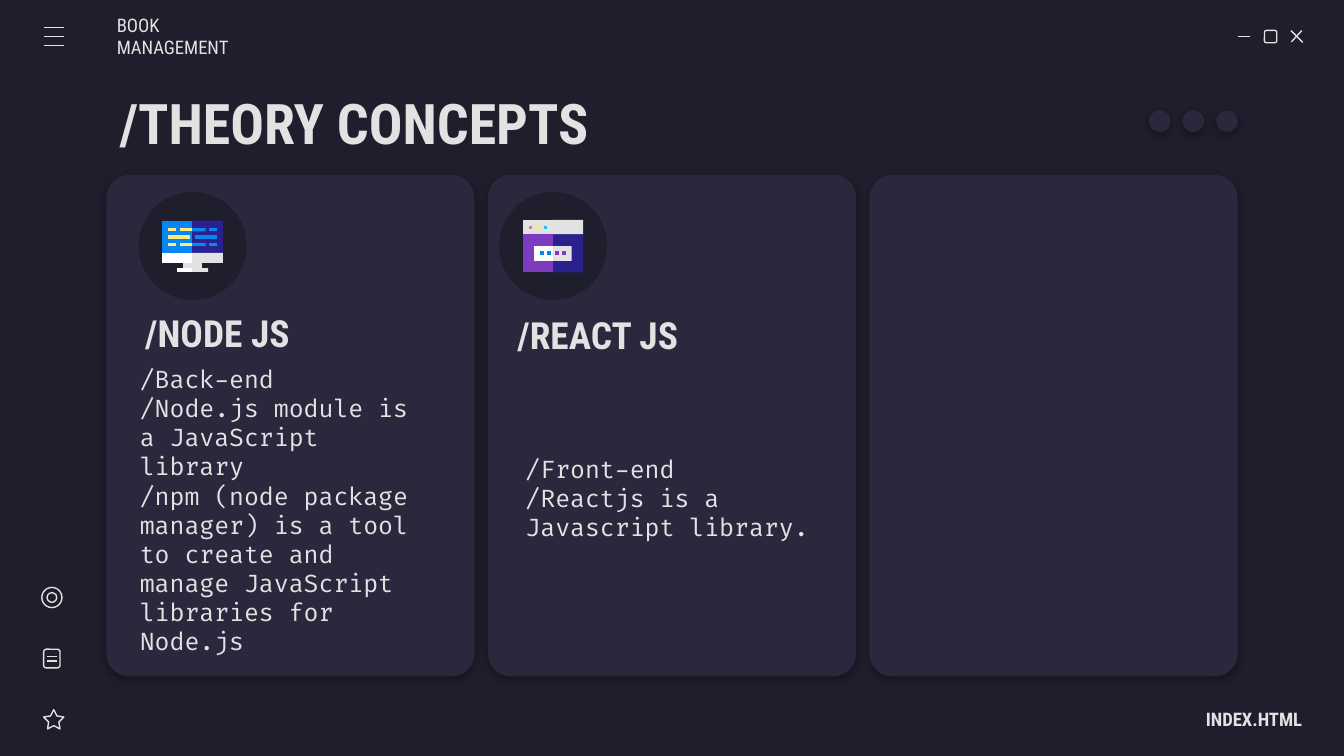
from dataclasses import dataclass

from lxml import etree
from pptx import Presentation
from pptx import util as u
from pptx.dml.color import RGBColor
from pptx.enum import shapes, text
from pptx.oxml import parse_xml
from pptx.oxml.ns import nsdecls, qn

SHAPE = shapes.MSO_SHAPE
ALIGN = text.PP_ALIGN


@dataclass(frozen=True)
class Theme:
    """Colours, fonts and type sizes of the slide."""
    night: str = "1E1E2C"
    panel: str = "29283D"
    light: str = "E2E2E2"
    white: str = "FFFFFF"
    indigo: str = "2B218D"
    purple: str = "7E3BBE"
    blue: str = "0887F2"
    cyan: str = "24BFEB"
    yellow: str = "FFEA7D"
    pink: str = "E07A88"
    head_font: str = "Roboto Condensed"
    code_font: str = "Fira Code"
    title: float = 30
    heading: float = 20
    body: float = 13
    label: float = 10
    stroke: float = 0.75


T = Theme()


def rgb(color):
    """Turn a hex string into a colour."""
    return RGBColor.from_string(color)


def apply(obj, **values):
    """Set each named attribute on an object."""
    for name, value in values.items():
        setattr(obj, name, value)


def add_shadow(sp):
    """Give a shape a soft shadow below it."""
    sp._element.spPr.append(parse_xml(
        f'<a:effectLst {nsdecls("a")}><a:outerShdw blurRad="57150" dist="19050" '
        'dir="5400000" algn="bl" rotWithShape="0"><a:srgbClr val="000000">'
        '<a:alpha val="30000"/></a:srgbClr></a:outerShdw></a:effectLst>'))


def paint(sp, fill):
    """Fill a shape without line or shadow."""
    sp.shadow.inherit = False
    sp.fill.solid()
    sp.fill.fore_color.rgb = rgb(fill)
    sp.line.fill.background()


def add_solid(parent, kind, box, fill, adj=(), shadow=False):
    """Add a filled preset shape."""
    sp = parent.add_shape(kind, *map(u.Pt, box))
    for i, value in enumerate(adj):
        sp.adjustments[i] = value
    paint(sp, fill)
    if shadow:
        sp._element.spPr.remove(sp._element.spPr.find(qn("a:effectLst")))
        add_shadow(sp)
    return sp


def add_outline(parent, kind, box, adj=()):
    """Add an unfilled preset shape with a thin line."""
    sp = add_solid(parent, kind, box, T.night, adj)
    sp.fill.background()
    sp.line.color.rgb = rgb(T.light)
    sp.line.width = u.Pt(T.stroke)


def add_line(parent, *ends):
    """Add a thin straight line."""
    sp = parent.add_connector(shapes.MSO_CONNECTOR.STRAIGHT, *map(u.Pt, ends))
    sp.line.color.rgb = rgb(T.light)
    sp.line.width = u.Pt(T.stroke)
    etree.SubElement(sp._element.spPr, qn("a:effectLst"))


def add_tile(parent, left, top, right, bottom, fill, seam=0):
    """Add an icon tile whose left edge may point into its neighbour."""
    points = [(left + seam, top), (right, top), (right, bottom), (left + seam, bottom)]
    if seam:
        points.append((left, (top + bottom) / 2))
    points = [(u.Pt(x), u.Pt(y)) for x, y in points]
    builder = parent.build_freeform(*points[0])
    builder.add_line_segments(points[1:], close=True)
    paint(builder.convert_to_shape(), fill)


def set_text(slide, sp, box, lines, size, font=T.head_font, bold=False,
             align=ALIGN.LEFT, insets=(7.2, 7.2, 7.2, 7.2)):
    """Place a text shape on top and write its paragraphs."""
    slide.shapes._spTree.append(sp._element)
    apply(sp, **dict(zip(("left", "top", "width", "height"), map(u.Pt, box))))
    tf = sp.text_frame
    apply(tf, word_wrap=True, auto_size=text.MSO_AUTO_SIZE.NONE,
          vertical_anchor=text.MSO_ANCHOR.MIDDLE)
    sides = ("margin_left", "margin_top", "margin_right", "margin_bottom")
    apply(tf, **dict(zip(sides, map(u.Pt, insets))))
    for i, line in enumerate(lines):
        p = tf.add_paragraph() if i else tf.paragraphs[0]
        pPr = p._p.get_or_add_pPr()
        pPr.set("marL", "0")
        pPr.set("indent", "0")
        etree.SubElement(pPr, qn("a:buNone"))
        apply(p, alignment=align, space_before=u.Pt(0), space_after=u.Pt(0))
        r = p.add_run()
        r.text = line
        apply(r.font, name=font, size=u.Pt(size), bold=bold)
        r.font.color.rgb = rgb(T.light)


def add_group(slide):
    """Start a group and return its shapes."""
    return slide.shapes.add_group_shape().shapes


def add_cards(slide):
    """Add the three panels."""
    for i in range(3):
        add_solid(slide.shapes, SHAPE.ROUNDED_RECTANGLE,
                  (57 + 204.4 * i, 93.75, 197.2, 268.6), T.panel, [0.062], True)


def add_window_controls(slide):
    """Add the minimise, maximise and close marks."""
    g = add_group(slide)
    add_line(g, 663.2, 19.6, 669.8, 19.6)
    add_outline(g, SHAPE.ROUNDED_RECTANGLE, (677.4, 16.3, 6.6, 6.6))
    add_line(g, 691.6, 16.4, 697.9, 22.7)
    add_line(g, 697.4, 16.4, 691.8, 22.5)


def add_badge(slide, left):
    """Add the dark disc behind an icon."""
    g = add_group(slide)
    box = (left, 102.9, 57.8, 57.8)
    add_solid(g, SHAPE.OVAL, box, T.night)
    add_solid(g, SHAPE.PIE, box, T.night, [32.63, 97.2]).rotation = 180


def add_side_marks(slide):
    """Add the menu lines and the three marks at the left edge."""
    menu = add_group(slide)
    for i in range(3):
        y = 14.7 + 4.8 * i
        add_line(menu, 23.4, y, 34.2, y)
    g = add_group(slide)
    add_outline(g, SHAPE.STAR_5_POINT, (23.4, 380.2, 10.8, 10.3), [0.254, 1.051, 1.106])
    add_outline(g, SHAPE.ROUNDED_RECTANGLE, (23.4, 347.8, 8.8, 10))
    for y in (351.8, 354.2):
        add_line(g, 25.2, y, 30.4, y)
    add_outline(g, SHAPE.OVAL, (22.4, 314.7, 10.8, 10.8))
    add_outline(g, SHAPE.OVAL, (25.2, 317.5, 5.2, 5.2))


def add_browser_icon(slide):
    """Add the browser window icon."""
    g = add_group(slide)
    add_tile(g, 295.2, 124.6, 312.4, 145.9, T.indigo, 0.8)
    add_tile(g, 280.1, 124.6, 296, 145.9, T.purple)
    add_tile(g, 295.2, 117.8, 312.4, 125.4, T.light, 0.8)
    add_tile(g, 280.1, 117.8, 296, 125.4, T.light)
    for i, color in enumerate((T.pink, T.yellow, T.cyan)):
        x = 283.2 + 4.1 * i
        add_tile(g, x, 121, x + 1.9, 122.6, color)
    add_tile(g, 295.2, 131.8, 306.2, 139.7, T.light, 0.8)
    add_tile(g, 286.2, 131.8, 296, 139.7, T.white)
    for i, color in enumerate((T.blue, T.blue, T.purple, T.purple)):
        x = 289.2 + 4 * i
        add_tile(g, x, 134.6, x + 2.1, 136.8, color)


def add_monitor_icon(slide):
    """Add the monitor icon with lines of code."""
    g = add_group(slide)
    for left, top, right, bottom, color, seam in (
            (101.8, 118.2, 119.4, 136, T.indigo, 1), (87, 118.2, 102.9, 136, T.blue, 0),
            (101.8, 139.8, 108.2, 144.6, T.light, 1), (97.9, 139.8, 102.9, 144.6, T.light, 0),
            (102, 143.7, 111.5, 145.7, T.light, 0.9), (94.8, 143.7, 102.9, 145.7, T.white, 0),
            (101.8, 135.5, 119.4, 140.8, T.light, 1), (87, 135.5, 102.9, 140.8, T.white, 0),
            (104.3, 126, 116.2, 128, T.blue, 0), (90, 126, 101.9, 128, T.yellow, 0)):
        add_tile(g, left, top, right, bottom, color, seam)
    for y in (122.2, 130.1):
        for left, right, color, seam in ((90, 94.1, T.yellow, 0), (112.2, 116.2, T.blue, 0),
                                         (102.2, 110.2, T.blue, 0.7), (96.4, 102.9, T.yellow, 0)):
            add_tile(g, left, y, right, y + 1.8, color, seam)


def main():
    """Build the slide and save it."""
    prs = Presentation()
    apply(prs, slide_width=u.Pt(720), slide_height=u.Pt(405))
    slide = prs.slides.add_slide(prs.slide_layouts.get_by_name("Comparison"))
    slide.background.fill.solid()
    slide.background.fill.fore_color.rgb = rgb(T.night)
    ph = {sp.placeholder_format.idx: sp for sp in slide.placeholders}
    for idx in (10, 11, 12):
        if idx in ph:
            slide.shapes._spTree.remove(ph[idx]._element)

    add_cards(slide)
    add_window_controls(slide)
    for left in (74.3, 267.4):
        add_badge(slide, left)
    add_side_marks(slide)
    for box, label, align, insets in (
            ((62.6, 8.6, 84.2, 21.6), "BOOK MANAGEMENT", ALIGN.LEFT, (0, 7.2, 7.2, 7.2)),
            ((613.4, 374.4, 84.2, 21.6), "INDEX.HTML", ALIGN.RIGHT, (7.2, 7.2, 0, 7.2))):
        sp = slide.shapes.add_textbox(0, 0, 0, 0)
        set_text(slide, sp, box, [label], T.label, bold=align == ALIGN.RIGHT,
                 align=align, insets=insets)

    set_text(slide, ph[0], (56.9, 42.5, 357.8, 45.4), ["/THEORY CONCEPTS"], T.title, bold=True)
    set_text(slide, ph[1], (70.6, 159.8, 171.4, 36.7), ["/NODE JS"], T.heading, bold=True)
    set_text(slide, ph[2], (67.7, 195.1, 171.4, 156.2),
             ["/Back-end", "/Node.js module is a JavaScript library",
              "/npm (node package manager) is a tool to create and manage "
              "JavaScript libraries for Node.js"], T.body, T.code_font)
    set_text(slide, ph[3], (270, 160.6, 171.4, 36.7), ["/REACT JS"], T.heading, bold=True)
    set_text(slide, ph[4], (274.3, 200.9, 171.4, 146.9),
             ["/Front-end", "/Reactjs is a Javascript library."], T.body, T.code_font,
             insets=(7.2, 7.2, 7.2, 22.8))

    add_browser_icon(slide)
    add_monitor_icon(slide)
    dots = add_group(slide)
    for i in range(3):
        add_solid(dots, SHAPE.OVAL, (615.6 + 18 * i, 59.2, 11.5, 11.5), T.panel, shadow=True)
    prs.save("out.pptx")


if __name__ == "__main__":
    main()
